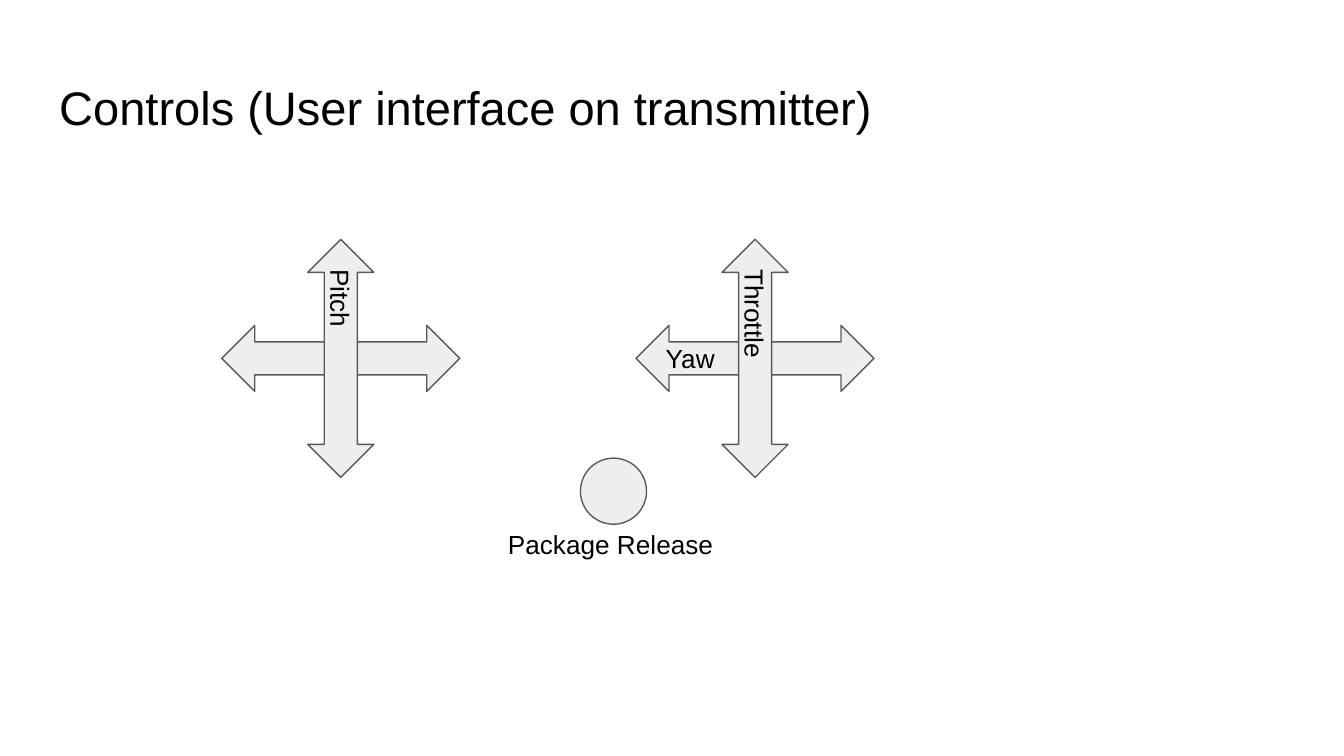
from pptx import Presentation
from pptx.dml.color import RGBColor
from pptx.enum.shapes import MSO_SHAPE
from pptx.enum.text import MSO_ANCHOR, PP_ALIGN
from pptx.util import Cm, Pt

BLACK = RGBColor(0x00, 0x00, 0x00)
LIGHT_GRAY = RGBColor(0xEE, 0xEE, 0xEE)
DARK_GRAY = RGBColor(0x59, 0x59, 0x59)

FONT = "Arial"
INSET = Cm(0.25)
LABEL_SIZE = 14


def write_text(shape, text, size, anchor):
    frame = shape.text_frame
    frame.word_wrap = True
    frame.vertical_anchor = anchor
    frame.margin_left = frame.margin_right = INSET
    frame.margin_top = frame.margin_bottom = INSET
    paragraph = frame.paragraphs[0]
    paragraph.text = text
    paragraph.alignment = PP_ALIGN.LEFT
    paragraph.font.name = FONT
    paragraph.font.size = Pt(size)
    paragraph.font.color.rgb = BLACK


def add_text(slide, text, size, left, top, width, height):
    box = slide.shapes.add_textbox(left, top, width, height)
    write_text(box, text, size, MSO_ANCHOR.TOP)


def add_control(slide, kind, left, top, width, height):
    """Add a gray outlined shape of the given preset kind."""
    shape = slide.shapes.add_shape(kind, left, top, width, height)
    shape.shadow.inherit = False
    shape.fill.solid()
    shape.fill.fore_color.rgb = LIGHT_GRAY
    shape.line.color.rgb = DARK_GRAY
    shape.line.width = Pt(0.75)
    return shape


def add_stick(slide, left, top, width, height, horizontal_label, vertical_label):
    """Cross two double arrows; the vertical one is the same box turned by 90°."""
    for rotation, label in ((0, horizontal_label), (90, vertical_label)):
        arrow = add_control(slide, MSO_SHAPE.LEFT_RIGHT_ARROW, left, top, width, height)
        arrow.rotation = rotation
        if label:
            write_text(arrow, label, LABEL_SIZE, MSO_ANCHOR.MIDDLE)


def add_release_button(slide, left, top, width, height):
    """Place a round button at the top of the box and its label at the bottom."""
    diameter = Cm(1.25)
    label_height = Cm(1.12)
    add_control(slide, MSO_SHAPE.OVAL, left + Cm(1.62), top, diameter, diameter)
    add_text(slide, "Package Release", LABEL_SIZE,
             left, top + height - label_height, width, label_height)


def main():
    presentation = Presentation()
    presentation.slide_width = Cm(25.4)
    presentation.slide_height = Cm(14.29)
    slide = presentation.slides.add_slide(presentation.slide_layouts[6])

    add_text(slide, "Controls (User interface on transmitter)", 25.2,
             Cm(0.87), Cm(1.24), Cm(23.67), Cm(1.6))

    sticks = (
        (Cm(4.19), "", "Pitch"),
        (Cm(12.02), "Yaw", "Throttle"),
    )
    for left, horizontal_label, vertical_label in sticks:
        add_stick(slide, left, Cm(6.15), Cm(4.5), Cm(1.25),
                  horizontal_label, vertical_label)

    add_release_button(slide, Cm(9.35), Cm(8.66), Cm(4.5), Cm(2.19))

    presentation.save("out.pptx")


if __name__ == "__main__":
    main()
